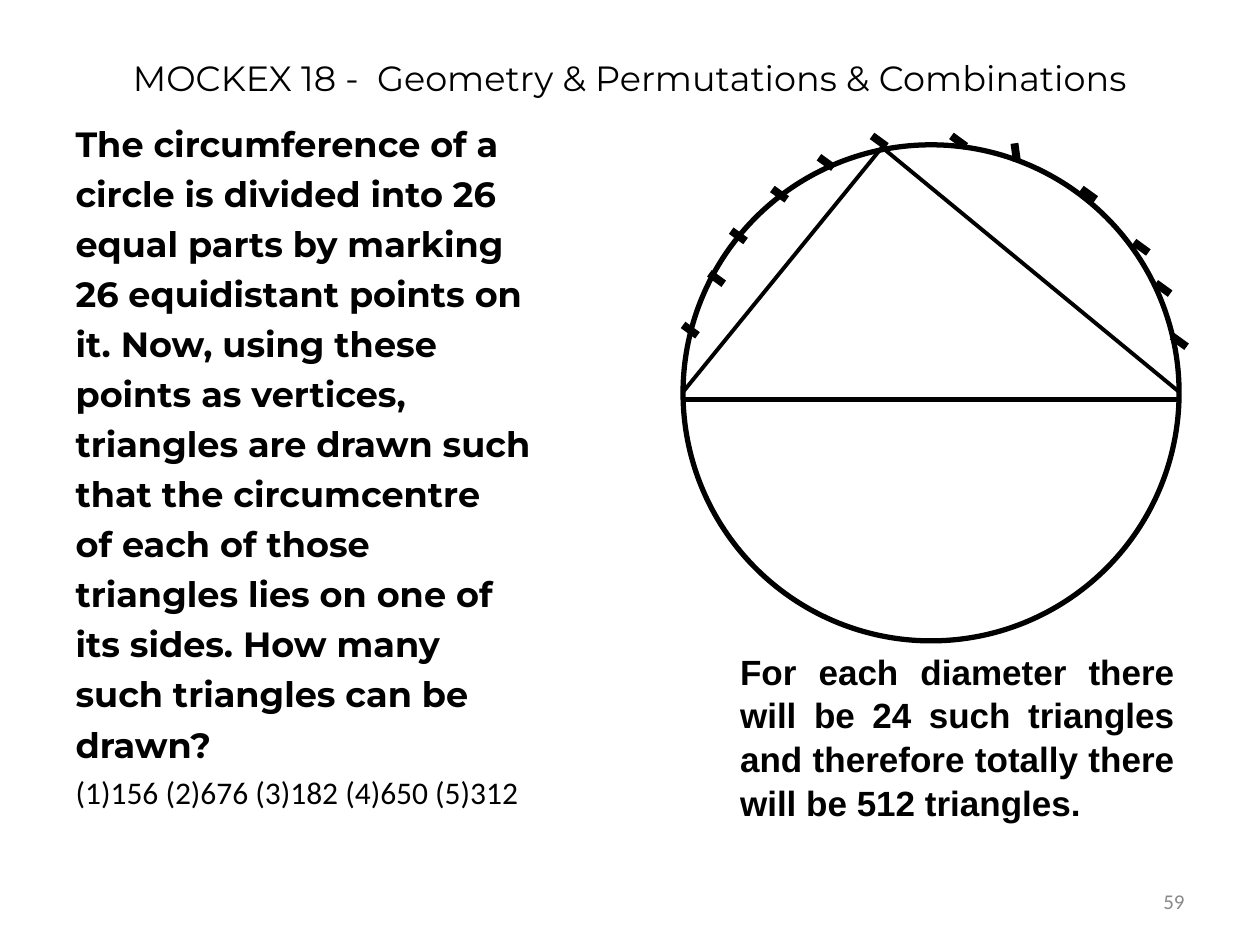
from lxml import etree
from pptx import Presentation
from pptx.dml.color import RGBColor
from pptx.enum.shapes import MSO_CONNECTOR, MSO_SHAPE
from pptx.enum.text import MSO_ANCHOR as Anchor, MSO_AUTO_SIZE, PP_ALIGN as Align
from pptx.oxml.ns import qn
from pptx.util import Cm, Pt

BLACK = RGBColor(0x00, 0x00, 0x00)
GREY = RGBColor(0x89, 0x89, 0x89)

QUESTION = [
    "The circumference of a", "circle is divided into 26", "equal parts by marking",
    "26 equidistant points on", "it. Now, using these", "points as vertices,",
    "triangles are drawn such", "that the circumcentre", "of each of those",
    "triangles lies on one of", "its sides. How many", "such triangles can be", "drawn?",
]
OPTIONS = "(1)156 (2)676 (3)182 (4)650 (5)312"
ANSWER = ("For each diameter there will be 24 such triangles "
          "and therefore totally there will be 512 triangles.")
SLANTED_MARKS = [
    (0, 3.63), (0.53, 2.59), (0.97, 1.73), (1.8, 0.89), (2.74, 0.25), (3.81, -0.18),
    (5.41, -0.18), (8.03, 0.89), (9.09, 1.96), (9.53, 2.79), (9.86, 3.86),
]
MARK_WIDTH, MARK_HEIGHT = 0.29, 0.21
STEEP_MARK = ((6.68, -0.03), (6.73, 0.33))


def place(part, box):
    part.left, part.top, part.width, part.height = (Cm(length) for length in box)


def set_indent(paragraph, margin):
    properties = paragraph._p.get_or_add_pPr()
    properties.set("marL", str(Cm(margin)))
    properties.set("indent", "0")
    etree.SubElement(properties, qn("a:buNone"))


def format_runs(paragraph, face, size, color=BLACK, bold=False):
    for run in paragraph.runs:
        run.font.name = face
        run.font.size = Pt(size)
        run.font.bold = bold
        run.font.color.rgb = color


def add_title(slide, box):
    title = slide.shapes.title
    place(title, box)
    frame = title.text_frame
    frame.text = "MOCKEX 18 -  Geometry & Permutations & Combinations"
    frame.auto_size = MSO_AUTO_SIZE.NONE
    frame.vertical_anchor = Anchor.MIDDLE
    heading = frame.paragraphs[0]
    heading.alignment = Align.CENTER
    format_runs(heading, "Montserrat", 20)


def add_question(slide, box):
    question = slide.placeholders[1]
    place(question, box)
    frame = question.text_frame
    frame.text = "\n".join(QUESTION + [OPTIONS])
    frame.auto_size = MSO_AUTO_SIZE.NONE
    for number, line in enumerate(frame.paragraphs):
        set_indent(line, 0)
        line.alignment = Align.JUSTIFY
        line.space_before = Pt(4.6 if number else 0)
        if number < len(QUESTION):
            format_runs(line, "Montserrat", 20, bold=True)
        else:
            format_runs(line, "Calibri", 18)


def add_circle_figure(slide, box):
    left, top, width, height = box

    def draw_line(start, end, weight):
        line = slide.shapes.add_connector(
            MSO_CONNECTOR.STRAIGHT, Cm(left + start[0]), Cm(top + start[1]),
            Cm(left + end[0]), Cm(top + end[1]))
        line.line.color.rgb = BLACK
        line.line.width = Pt(weight)
        etree.SubElement(line._element.spPr, qn("a:effectLst"))

    circle = slide.shapes.add_shape(MSO_SHAPE.OVAL, *(Cm(length) for length in box))
    circle.shadow.inherit = False
    circle.fill.background()
    circle.line.color.rgb = BLACK
    circle.line.width = Pt(3)

    diameter_y = 5.13
    draw_line((0, diameter_y), (width, diameter_y), 3)
    for x, y in SLANTED_MARKS:
        draw_line((x, y), (x + MARK_WIDTH, y + MARK_HEIGHT), 4.5)
    draw_line(*STEEP_MARK, 4.5)

    apex, base_y = (4.01, 0.05), 4.98
    for base_x in (0, width):
        draw_line(apex, (base_x, base_y), 2.25)


def add_answer(slide, box):
    frame = slide.shapes.add_textbox(*(Cm(length) for length in box)).text_frame
    frame.word_wrap = True
    frame.text = ANSWER
    answer = frame.paragraphs[0]
    set_indent(answer, 0.95)
    answer.alignment = Align.JUSTIFY
    answer.line_spacing = 1.04
    format_runs(answer, "Arial", 20, bold=True)


def add_page_number(slide, box):
    frame = slide.shapes.add_textbox(*(Cm(length) for length in box)).text_frame
    frame.word_wrap = True
    frame.vertical_anchor = Anchor.MIDDLE
    frame.text = "59"
    page_number = frame.paragraphs[0]
    page_number.alignment = Align.RIGHT
    format_runs(page_number, "Calibri", 12, GREY)


def main():
    deck = Presentation()
    deck.slide_width, deck.slide_height = Cm(25.4), Cm(19.05)
    slide = deck.slides.add_slide(deck.slide_layouts[1])
    add_title(slide, (1.27, 0.76, 22.86, 1.6))
    add_question(slide, (1.27, 2.34, 10.21, 14.6))
    add_page_number(slide, (18.21, 17.65, 5.92, 1.02))
    add_circle_figure(slide, (13.77, 2.92, 10, 10))
    add_answer(slide, (13.72, 12.95, 10.21, 4.39))
    deck.save("out.pptx")


if __name__ == "__main__":
    main()
